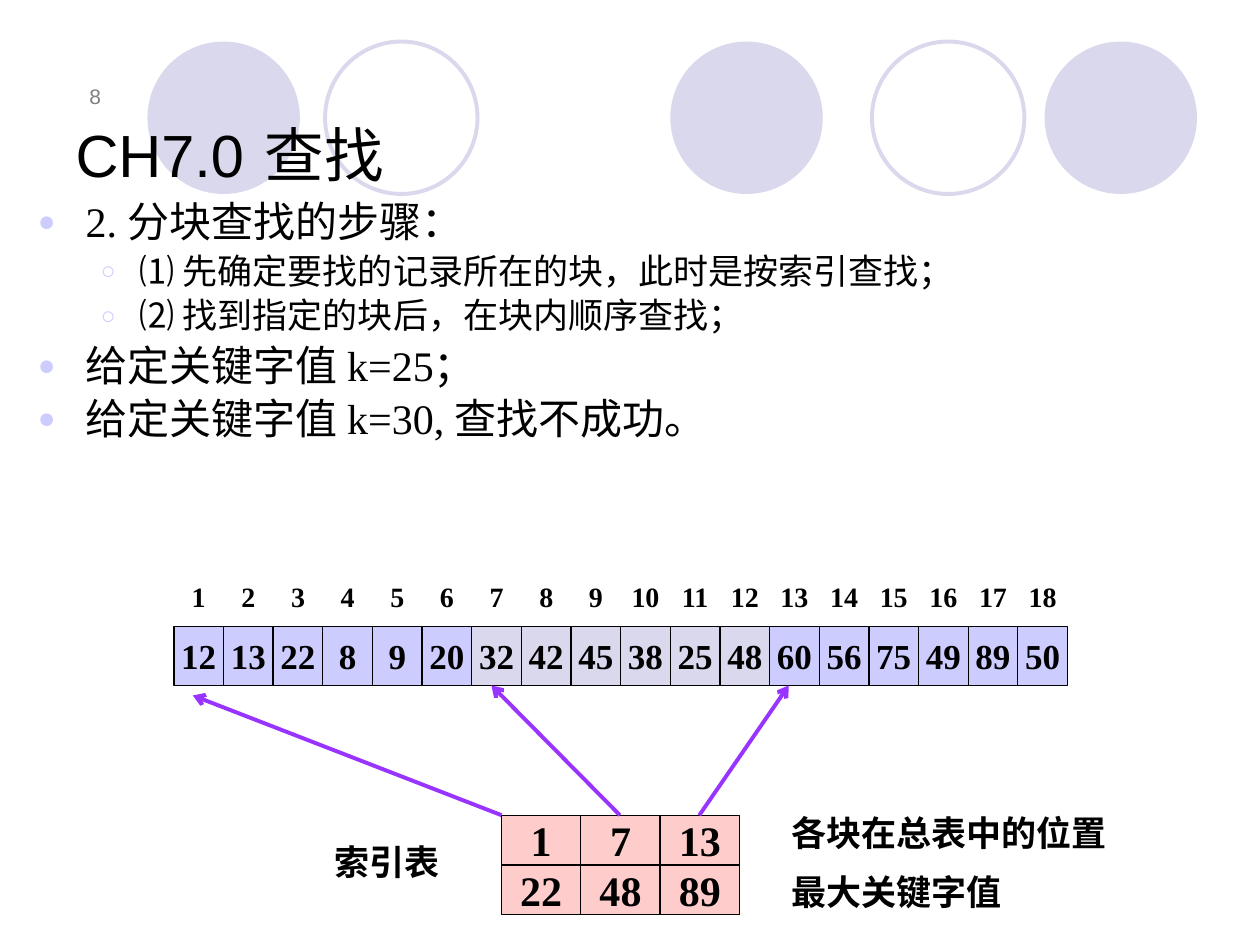
"""Build the block search slide: steps, keyed array and index table."""
from dataclasses import dataclass

from lxml import etree
from pptx import Presentation
from pptx import util as u
from pptx.dml.color import RGBColor
from pptx.enum import shapes, text
from pptx.oxml import ns


@dataclass(frozen=True)
class Theme:
    ink: str = "000000"
    muted: str = "808080"
    pale: str = "D9D8EC"
    lilac: str = "CCCCFF"
    pink: str = "FFCCCC"
    arrow: str = "9933FF"
    sans: str = "Arial"
    serif: str = "Times New Roman"
    title: int = 34
    body: int = 24
    detail: int = 20
    index: int = 16
    number: int = 12
    border: float = 0.75
    stroke: float = 2.25


def assign(target, values):
    for name, value in values.items():
        setattr(target, name, value)


def rgb(colour):
    return RGBColor.from_string(colour)


class SlideBuilder:
    columns, rows = 100, 75

    def __init__(self, presentation, theme):
        self.theme = theme
        self.unit_x = presentation.slide_width / self.columns
        self.unit_y = presentation.slide_height / self.rows
        self.slide = presentation.slides.add_slide(presentation.slide_layouts[1])

    def box(self, left, top, width, height):
        return [round(value * unit) for value, unit in zip(
            (left, top, width, height), (self.unit_x, self.unit_y) * 2)]

    def place(self, shape, area):
        assign(shape, dict(zip(("left", "top", "width", "height"), self.box(*area))))

    def add_words(self, paragraph, words, size, font=None, colour=None, bold=False):
        run = paragraph.add_run()
        run.text = words
        assign(run.font, {"size": u.Pt(size), "name": font or self.theme.serif, "bold": bold})
        run.font.color.rgb = rgb(colour or self.theme.ink)

    def title(self, area, words):
        shape = self.slide.shapes.title
        self.place(shape, area)
        assign(shape.text_frame, {"vertical_anchor": text.MSO_ANCHOR.BOTTOM,
                                  "auto_size": text.MSO_AUTO_SIZE.NONE})
        paragraph = shape.text_frame.paragraphs[0]
        paragraph.alignment = text.PP_ALIGN.LEFT
        self.add_words(paragraph, words, self.theme.title, self.theme.sans)

    def body(self, area, items):
        shape = self.slide.placeholders[1]
        self.place(shape, area)
        frame = shape.text_frame
        frame.auto_size = text.MSO_AUTO_SIZE.NONE
        for number, (level, words) in enumerate(items):
            paragraph = frame.add_paragraph() if number else frame.paragraphs[0]
            size = (self.theme.body, self.theme.detail)[level]
            assign(paragraph, {"level": level, "line_spacing": 0.9,
                               "space_before": u.Pt(size * 0.2)})
            self.bullet(paragraph, level)
            self.add_words(paragraph, words, size)

    def bullet(self, paragraph, level):
        margin, hanging, mark = ((0.38, 0.38, "●"), (0.81, 0.31, "○"))[level]
        properties = paragraph._p.get_or_add_pPr()
        properties.set("marL", str(u.Inches(margin)))
        properties.set("indent", str(-u.Inches(hanging)))
        colour = etree.SubElement(properties, ns.qn("a:buClr"))
        etree.SubElement(colour, ns.qn("a:srgbClr"), val=self.theme.lilac)
        etree.SubElement(properties, ns.qn("a:buSzPct"), val="70000")
        etree.SubElement(properties, ns.qn("a:buFont"), typeface=self.theme.sans)
        etree.SubElement(properties, ns.qn("a:buChar"), char=mark)

    def shape(self, kind, area, fill=None, line=None, width=0):
        shape = self.slide.shapes.add_shape(kind, *self.box(*area))
        shape.shadow.inherit = False
        for target, colour in ((shape.fill, fill), (shape.line.fill, line)):
            if colour:
                target.solid()
                target.fore_color.rgb = rgb(colour)
            else:
                target.background()
        if line:
            shape.line.width = u.Pt(width)
        return shape

    def circle(self, left, filled):
        pale = self.theme.pale
        style = {"fill": pale} if filled else {"line": pale, "width": self.theme.stroke}
        shape = self.shape(shapes.MSO_SHAPE.OVAL, (left, 3.3, 12.1, 12.1), **style)
        shape.element.getparent().insert(2, shape.element)

    def fill_text(self, shape, words, size, align, anchor, fit=False, **style):
        fitting = text.MSO_AUTO_SIZE.SHAPE_TO_FIT_TEXT if fit else text.MSO_AUTO_SIZE.NONE
        frame = shape.text_frame
        assign(frame, {"word_wrap": False, "vertical_anchor": anchor, "auto_size": fitting})
        frame.paragraphs[0].alignment = align
        self.add_words(frame.paragraphs[0], words, size, **style)

    def cell(self, area, words, size, fill=None):
        if fill:
            shape = self.shape(shapes.MSO_SHAPE.RECTANGLE, area, fill,
                               self.theme.ink, self.theme.border)
        else:
            shape = self.slide.shapes.add_textbox(*self.box(*area))
        self.fill_text(shape, str(words), size, text.PP_ALIGN.CENTER,
                       text.MSO_ANCHOR.MIDDLE, bold=True)

    def row(self, area, values, size, fills):
        left, top, width, height = area
        for column, (value, fill) in enumerate(zip(values, fills)):
            self.cell((left + column * width, top, width, height), value, size, fill)

    def label(self, area, words):
        shape = self.slide.shapes.add_textbox(*self.box(*area))
        self.fill_text(shape, words, self.theme.detail, text.PP_ALIGN.LEFT,
                       text.MSO_ANCHOR.TOP, fit=True, bold=True)

    def page_number(self, area, words):
        shape = self.slide.shapes.add_textbox(*self.box(*area))
        self.fill_text(shape, words, self.theme.number, text.PP_ALIGN.RIGHT,
                       text.MSO_ANCHOR.BOTTOM, font=self.theme.sans, colour=self.theme.muted)
        shape.text_frame.word_wrap = True

    def arrow(self, start, end):
        connector = self.slide.shapes.add_connector(
            shapes.MSO_CONNECTOR.STRAIGHT, *self.box(*start, *end))
        connector.line.color.rgb = rgb(self.theme.arrow)
        connector.line.width = u.Pt(self.theme.stroke)
        etree.SubElement(connector.line._get_or_add_ln(), ns.qn("a:tailEnd"), type="arrow")
        etree.SubElement(connector.element.spPr, ns.qn("a:effectLst"))


def main():
    presentation = Presentation()
    assign(presentation, {"slide_width": u.Inches(10), "slide_height": u.Inches(7.5)})
    theme = Theme()
    builder = SlideBuilder(presentation, theme)

    for left, filled in ((11.7, True), (25.8, False), (53.2, True), (69.2, False), (82.9, True)):
        builder.circle(left, filled)
    builder.page_number((3.5, 4.4, 5.5, 4.7), "8")
    builder.title((5, 5.4, 90, 10.1), "CH7.0 \t查找")
    builder.body((2, 15.5, 96.1, 28.4), (
        (0, "2. 分块查找的步骤："),
        (1, "⑴ 先确定要找的记录所在的块，此时是按索引查找；"),
        (1, "⑵ 找到指定的块后，在块内顺序查找；"),
        (0, "给定关键字值 k=25；"),
        (0, "给定关键字值 k=30, 查找不成功。"),
    ))

    keys = (12, 13, 22, 8, 9, 20, 32, 42, 45, 38, 25, 48, 60, 56, 75, 49, 89, 50)
    block = 6
    block_fills = [fill for fill in (theme.lilac, theme.pale, theme.lilac) for _ in range(block)]
    builder.row((13.8, 49.7, 3.94, 4.7), keys, theme.detail, block_fills)
    builder.row((13.8, 45, 3.94, 4.7), range(1, len(keys) + 1), theme.index, [None] * len(keys))

    starts = range(0, len(keys), block)
    index_rows = ([start + 1 for start in starts],
                  [max(keys[start:start + block]) for start in starts])
    for number, values in enumerate(index_rows):
        builder.row((39.8, 64.7 + number * 3.94, 6.3, 3.94), values, theme.body,
                    [theme.pink] * len(values))

    for start, end in (((39.8, 64.7), (15.3, 55.2)), ((49.2, 64.7), (39, 54.4)),
                       ((55.5, 64.7), (62.6, 54.4))):
        builder.arrow(start, end)
    builder.label((61.8, 68.6, 18.8, 4.3), "最大关键字值")
    builder.label((61.8, 63.9, 27.2, 4.3), "各块在总表中的位置")
    builder.label((25.6, 66.2, 13.4, 4.3), "索引表")
    presentation.save("out.pptx")


if __name__ == "__main__":
    main()
